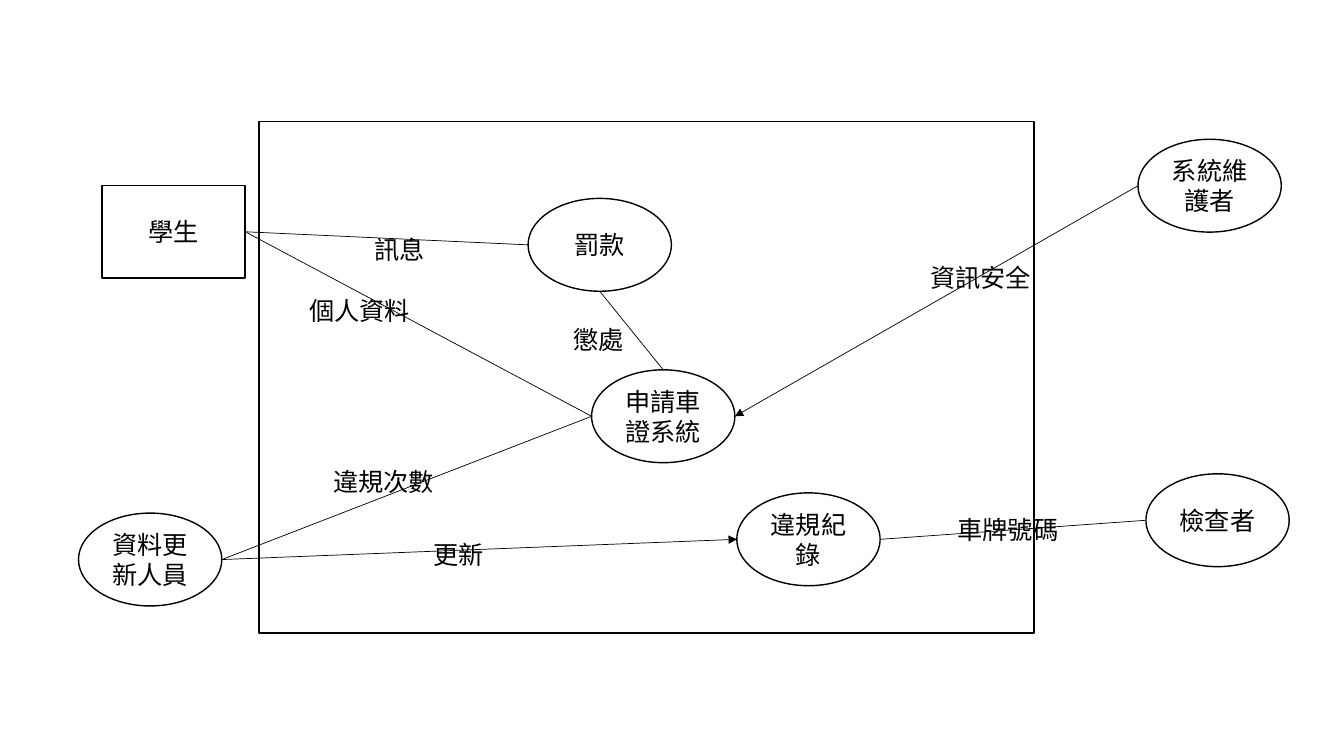
from dataclasses import dataclass

import pptx
import pptx.dml.color
import pptx.enum.dml
import pptx.enum.shapes
import pptx.enum.text
import pptx.oxml
import pptx.oxml.ns
import pptx.shapes.autoshape
import pptx.shapes.connector
import pptx.util
from pptx.util import Cm

INK, PAPER = "000000", "FFFFFF"
FONT = {"name": "Calibri", "size": pptx.util.Pt(18)}
ENTITY_SIZE = (3.61, 2.34)
FLOW_NAME_SIZE = (3.33, 1.02)
TOP, LEFT, BOTTOM, RIGHT = range(4)
RECTANGLE = pptx.enum.shapes.MSO_SHAPE.RECTANGLE
OVAL = pptx.enum.shapes.MSO_SHAPE.OVAL


@dataclass
class Entity:
    name: str
    x: float
    y: float
    outline: pptx.enum.shapes.MSO_SHAPE = OVAL


@dataclass
class Flow:
    source: str
    source_side: int
    target: str
    target_side: int
    name: str
    x: float
    y: float
    arrow: bool = False


ENTITIES = [
    Entity("申請車證系統", 14.91, 9.32),
    Entity("系統維護者", 28.68, 3.51),
    Entity("檢查者", 28.88, 11.94),
    Entity("資料更新人員", 1.98, 12.93),
    Entity("學生", 2.57, 4.67, RECTANGLE),
    Entity("違規紀錄", 18.57, 12.42),
    Entity("罰款", 13.31, 5.0),
]

FLOWS = [
    Flow("學生", RIGHT, "申請車證系統", LEFT, "個人資料", 7.54, 7.32),
    Flow("違規紀錄", RIGHT, "檢查者", LEFT, "車牌號碼", 23.88, 12.83),
    Flow("資料更新人員", RIGHT, "申請車證系統", LEFT, "違規次數", 8.15, 11.63),
    Flow("罰款", LEFT, "學生", RIGHT, "訊息", 9.19, 5.77),
    Flow("申請車證系統", TOP, "罰款", BOTTOM, "懲處", 14.2, 8.05),
    Flow("資料更新人員", RIGHT, "違規紀錄", LEFT, "更新", 10.67, 13.46, True),
    Flow("系統維護者", LEFT, "申請車證系統", RIGHT, "資訊安全", 23.19, 6.48, True),
]


def colour(hex_value: str) -> pptx.dml.color.RGBColor:
    return pptx.dml.color.RGBColor.from_string(hex_value)


def write(frame, text: str) -> None:
    frame.word_wrap = True
    run = frame.paragraphs[0].add_run()
    run.text = text
    for attribute, value in FONT.items():
        setattr(run.font, attribute, value)
    run.font.color.rgb = colour(INK)


def draw_outline(slide, kind, x: float, y: float, width: float,
                 height: float) -> pptx.shapes.autoshape.Shape:
    outline = slide.shapes.add_shape(kind, Cm(x), Cm(y), Cm(width), Cm(height))
    outline.shadow.inherit = False
    outline.fill.solid()
    outline.fill.fore_color.rgb = colour(PAPER)
    outline.line.color.rgb = colour(INK)
    outline.line.width = pptx.util.Pt(1)
    return outline


def draw_entity(slide, entity: Entity) -> pptx.shapes.autoshape.Shape:
    drawn = draw_outline(slide, entity.outline, entity.x, entity.y, *ENTITY_SIZE)
    write(drawn.text_frame, entity.name)
    drawn.text_frame.vertical_anchor = pptx.enum.text.MSO_ANCHOR.MIDDLE
    drawn.text_frame.paragraphs[0].alignment = pptx.enum.text.PP_ALIGN.CENTER
    return drawn


def draw_flow(slide, flow: Flow, drawn: dict) -> pptx.shapes.connector.Connector:
    path_line = slide.shapes.add_connector(
        pptx.enum.shapes.MSO_CONNECTOR.STRAIGHT, 0, 0, 0, 0)
    source, target = drawn[flow.source], drawn[flow.target]
    path_line.begin_connect(source, flow.source_side)
    path_line.end_connect(target, flow.target_side)

    # An oval has eight connection sites, so each side counts double
    for tag, shape, side in (("a:stCxn", source, flow.source_side),
                             ("a:endCxn", target, flow.target_side)):
        if shape.auto_shape_type == OVAL:
            joint = path_line.element.find(".//" + pptx.oxml.ns.qn(tag))
            joint.set("idx", str(side * 2))

    path_line.line.color.rgb = colour(INK)
    path_line.line.width = pptx.util.Pt(0.5)
    namespace = pptx.oxml.ns.nsdecls("a")
    if flow.arrow:
        path_line.line._get_or_add_ln().append(
            pptx.oxml.parse_xml(f'<a:tailEnd {namespace} type="triangle"/>'))
    path_line.element.spPr.append(
        pptx.oxml.parse_xml(f"<a:effectLst {namespace}/>"))
    return path_line


def draw_flow_name(slide, flow: Flow) -> None:
    width, height = FLOW_NAME_SIZE
    label = slide.shapes.add_textbox(Cm(flow.x), Cm(flow.y), Cm(width), Cm(height))
    write(label.text_frame, flow.name)
    label.text_frame.auto_size = pptx.enum.text.MSO_AUTO_SIZE.SHAPE_TO_FIT_TEXT


def main() -> None:
    deck = pptx.Presentation()
    deck.slide_width, deck.slide_height = Cm(33.87), Cm(19.05)
    slide = deck.slides.add_slide(deck.slide_layouts[6])

    # System boundary
    draw_outline(slide, RECTANGLE, 6.53, 3.07, 19.53, 12.88)

    # People and processes
    drawn = {entity.name: draw_entity(slide, entity) for entity in ENTITIES}

    # Data flows and their names
    for flow in FLOWS:
        draw_flow(slide, flow, drawn)
        draw_flow_name(slide, flow)

    deck.save("out.pptx")


if __name__ == "__main__":
    main()
